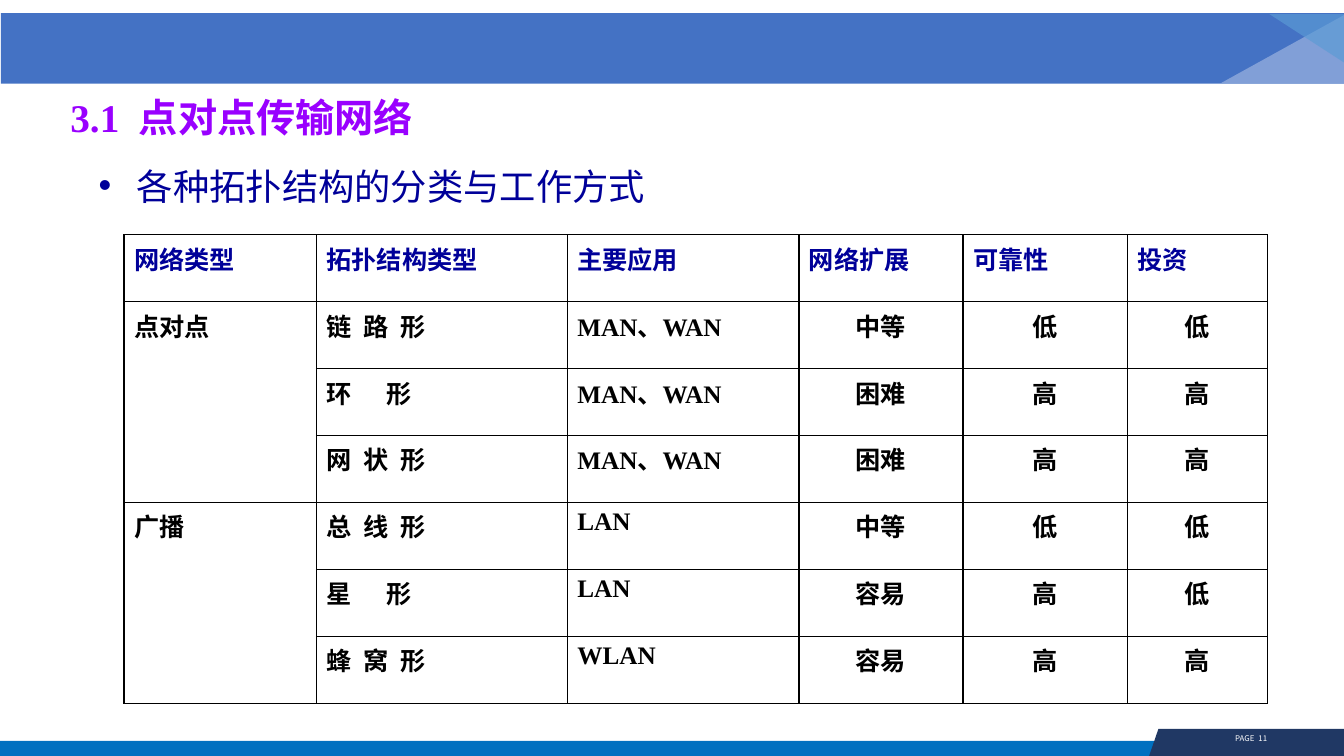
from lxml.etree import SubElement
from pptx import Presentation
from pptx.dml.color import RGBColor
from pptx.enum.shapes import MSO_SHAPE as Shape
from pptx.enum.text import MSO_ANCHOR as Anchor, PP_ALIGN as Align
from pptx.oxml import parse_xml
from pptx.oxml.ns import nsdecls, qn
from pptx.util import Inches, Pt

WIDTH, HEIGHT = 13.33, 7.5
SERIF, SANS, CJK = "Times New Roman", "Calibri", "Noto Sans CJK SC"
NAVY, BLACK, WHITE = "000099", "000000", "FFFFFF"

COLUMN_WIDTHS = [1.91, 2.49, 2.3, 1.63, 1.63, 1.39]
HEADINGS = ["网络类型", "拓扑结构类型", "主要应用", "网络扩展", "可靠性", "投资"]
NETWORKS = {
    "点对点": [
        ("链路形", "MAN、WAN", "中等", "低", "低"),
        ("环形", "MAN、WAN", "困难", "高", "高"),
        ("网状形", "MAN、WAN", "困难", "高", "高"),
    ],
    "广播": [
        ("总线形", "LAN", "中等", "低", "低"),
        ("星形", "LAN", "容易", "高", "低"),
        ("蜂窝形", "WLAN", "容易", "高", "高"),
    ],
}


def colour(hex_value):
    return RGBColor.from_string(hex_value)


def inches(box):
    return [Inches(length) for length in box]


def paint(shape, fill, opacity=100):
    shape.shadow.inherit = False
    shape.fill.solid()
    shape.fill.fore_color.rgb = colour(fill)
    shape.line.fill.background()
    if opacity < 100:
        tint = shape._element.spPr.find(qn("a:solidFill"))[0]
        SubElement(tint, qn("a:alpha")).set("val", str(opacity * 1000))


def add_run(paragraph, text, size, font, ink, bold=False, spacing=0):
    """Add one run; spacing is the extra gap after each letter, in points."""
    run = paragraph.add_run()
    run.text = text
    run.font.size, run.font.bold = Pt(size), bold
    run.font.color.rgb = colour(ink)
    run.font.name = font
    properties = run._r.get_or_add_rPr()
    SubElement(properties, qn("a:ea")).set("typeface", CJK)
    if spacing:
        properties.set("spc", str(round(spacing * 100)))


def add_text_frame(slide, box, anchor=Anchor.TOP, wrap=True):
    frame = slide.shapes.add_textbox(*inches(box)).text_frame
    frame.word_wrap, frame.vertical_anchor = wrap, anchor
    return frame


def add_banner(slide, left, top, width, height):
    band = slide.shapes.add_shape(Shape.RECTANGLE, *inches((left, top, width, height)))
    paint(band, "4472C4")
    # Two translucent corner triangles, flush with the right end
    right = left + width
    corners = [(1.23, 0.02, 0.68, "8FAADC", 82, False),
               (0.74, 0.01, 0.48, "5B9BD5", 67, True)]
    for base, drop, rise, fill, opacity, upside_down in corners:
        corner = slide.shapes.add_shape(
            Shape.ISOSCELES_TRIANGLE, *inches((right - base, top + drop, base, rise)))
        corner.adjustments[0] = 0
        flips = corner._element.spPr.find(qn("a:xfrm"))
        flips.set("flipH", "1")
        if upside_down:
            flips.set("flipV", "1")
        paint(corner, fill, opacity)


def add_footer(slide, left, top, width, height):
    strip = slide.shapes.add_shape(
        Shape.RECTANGLE, *inches((left, top + 0.12, width, height - 0.11)))
    paint(strip, "0070C0")
    # Slanted tab holding the page number
    right, bottom = left + width, top + height
    tab_left = right - 1.94
    outline = slide.shapes.build_freeform(
        Inches(tab_left + 0.1), Inches(top), scale=1.0)
    outline.add_line_segments(
        [(Inches(x), Inches(y)) for x, y in
         [(right, top), (right, bottom), (tab_left, bottom)]], close=True)
    paint(outline.convert_to_shape(), "203864")
    page = add_text_frame(slide, (tab_left + 0.74, top, 0.56, 0.2), wrap=False)
    paragraph = page.paragraphs[0]
    paragraph.alignment = Align.CENTER
    add_run(paragraph, "PAGE", 5.6, CJK, WHITE)
    add_run(paragraph, " ", 5.6, CJK, WHITE, spacing=1.5)
    add_run(paragraph, "11", 5.6, CJK, WHITE)


def add_title(slide, *box):
    paragraph = add_text_frame(slide, box, Anchor.MIDDLE).paragraphs[0]
    for text, spacing in [("3.1", 0), (" ", 7), ("点对点传输网络", 0)]:
        add_run(paragraph, text, 28, SERIF, "9900FF", True, spacing)


def add_bullet_line(slide, *box):
    paragraph = add_text_frame(slide, box).paragraphs[0]
    paragraph.line_spacing = 0.8
    properties = paragraph._p.get_or_add_pPr()
    properties.set("marL", str(Inches(0.38)))
    properties.set("indent", str(-Inches(0.38)))
    SubElement(properties, qn("a:buFont")).set("typeface", "Arial")
    SubElement(properties, qn("a:buChar")).set("char", "•")
    add_run(paragraph, "各种拓扑结构的分类与工作方式", 25.9, SANS, NAVY)


def style_cell(cell):
    cell.fill.solid()
    cell.fill.fore_color.rgb = colour(WHITE)
    properties = cell._tc.get_or_add_tcPr()
    for index, side in enumerate("LRTB"):
        properties.insert(index, parse_xml(
            f'<a:ln{side} {nsdecls("a")} w="12700"><a:solidFill>'
            f'<a:srgbClr val="{BLACK}"/></a:solidFill></a:ln{side}>'))


def fill_cell(cell, text, ink=BLACK, align=Align.LEFT, spacing=0):
    paragraph = cell.text_frame.paragraphs[0]
    paragraph.alignment = align
    add_run(paragraph, text, 18, SERIF, ink, True, spacing)


def add_topology_table(slide, left, top, width, height):
    row_count = 1 + sum(len(rows) for rows in NETWORKS.values())
    table = slide.shapes.add_table(
        row_count, len(HEADINGS), *inches((left, top, width, height))).table
    table.first_row = table.horz_banding = False
    for column, share in zip(table.columns, COLUMN_WIDTHS):
        column.width = Inches(width * share / sum(COLUMN_WIDTHS))
    for row in table.rows:
        row.height = Inches(height / row_count)
    for cell in table.iter_cells():
        style_cell(cell)
    # Header row
    for column, heading in enumerate(HEADINGS):
        fill_cell(table.cell(0, column), heading, NAVY)
    # One merged block for each network type
    first = 1
    for network, topologies in NETWORKS.items():
        last = first + len(topologies) - 1
        table.cell(first, 0).merge(table.cell(last, 0))
        fill_cell(table.cell(first, 0), network)
        for row, (topology, usage, *ratings) in enumerate(topologies, first):
            spacing = 25 if len(topology) == 2 else 8.5
            fill_cell(table.cell(row, 1), topology, spacing=spacing)
            fill_cell(table.cell(row, 2), usage)
            for column, rating in enumerate(ratings, 3):
                fill_cell(table.cell(row, column), rating, align=Align.CENTER)
        first = last + 1


def main():
    deck = Presentation()
    deck.slide_width, deck.slide_height = Inches(WIDTH), Inches(HEIGHT)
    slide = deck.slides.add_slide(deck.slide_layouts[6])
    add_footer(slide, 0, 7.23, WIDTH, 0.29)
    add_banner(slide, 0.01, 0.13, WIDTH - 0.01, 0.7)
    add_title(slide, 0.6, 0.84, 9.45, 0.63)
    add_bullet_line(slide, 0.88, 1.66, 8.9, 0.47)
    add_topology_table(slide, 1.23, 2.33, 11.34, 4.65)
    deck.save("out.pptx")


if __name__ == "__main__":
    main()
